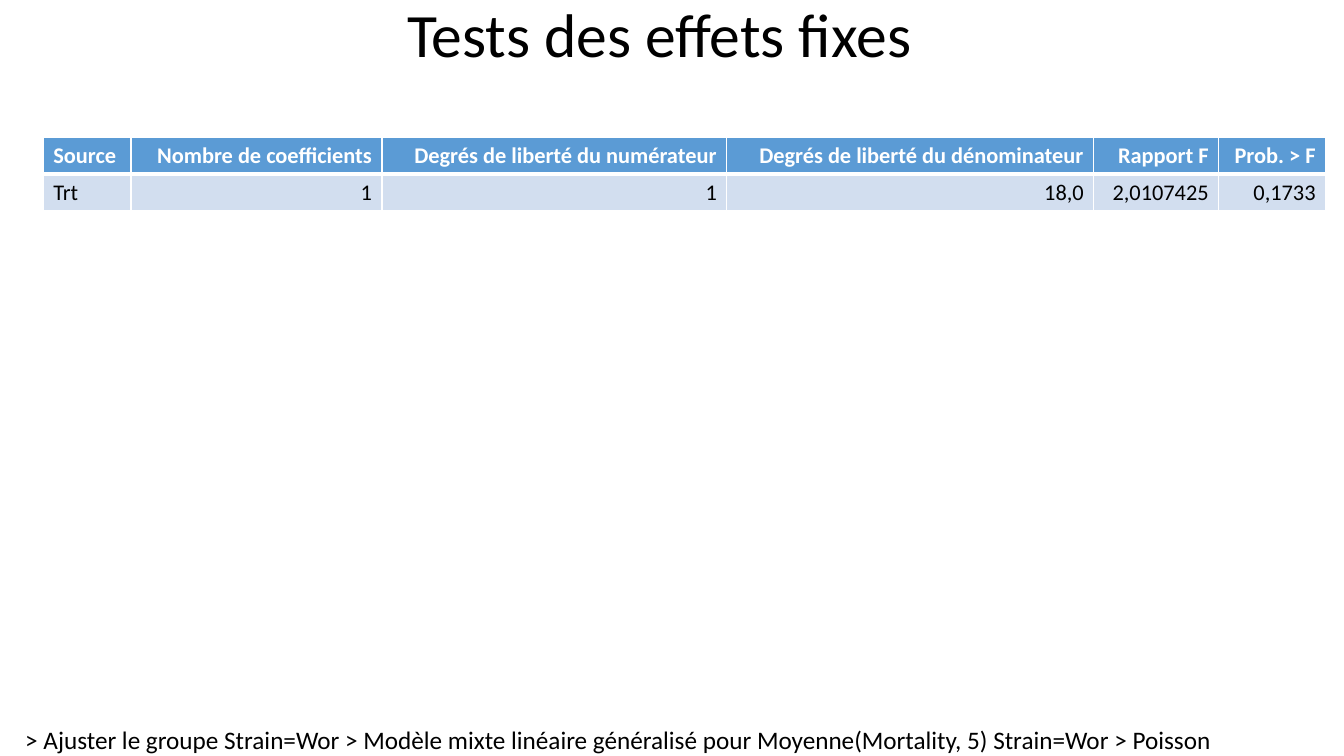
from dataclasses import dataclass

import lxml.etree
import pptx
import pptx.dml.color
import pptx.enum.text
import pptx.oxml.ns
import pptx.util

Inches = pptx.util.Inches
Align = pptx.enum.text.PP_ALIGN
Anchor = pptx.enum.text.MSO_ANCHOR

FONT = "Calibri"
COLORS = {"black": "000000", "white": "FFFFFF", "header": "5B9BD5", "band": "D2DEEF"}
ROW_HEIGHT = 0.365


@dataclass(frozen=True)
class Column:
    heading: str
    value: str
    width: float
    align: Align = Align.RIGHT


@dataclass(frozen=True)
class TextStyle:
    size: float
    color: str = "black"
    bold: bool = False
    align: Align = Align.LEFT
    line_spacing: float = 1.0


@dataclass(frozen=True)
class RowStyle:
    fill: str
    color: str
    bold: bool
    top: float
    bottom: float


COLUMNS = [
    Column("Source", "Trt", 0.87, Align.LEFT),
    Column("Nombre de coefficients", "1", 2.49),
    Column("Degrés de liberté du numérateur", "1", 3.42),
    Column("Degrés de liberté du dénominateur", "18,0", 3.64),
    Column("Rapport F", "2,0107425", 1.24),
    Column("Prob. > F", "0,1733", 1.06),
]
HEADER_ROW = RowStyle("header", "white", True, top=1, bottom=3)
VALUE_ROW = RowStyle("band", "black", False, top=3, bottom=1)


def rgb(name: str) -> pptx.dml.color.RGBColor:
    return pptx.dml.color.RGBColor.from_string(COLORS[name])


def write(frame, text: str, style: TextStyle) -> None:
    para = frame.paragraphs[0]
    para.text = text
    para.alignment = style.align
    para.line_spacing = style.line_spacing
    para.font.name = FONT
    para.font.size = pptx.util.Pt(style.size)
    para.font.bold = style.bold
    para.font.color.rgb = rgb(style.color)


def add_text(page, left: float, top: float, width: float, height: float,
             text: str, style: TextStyle):
    box = page.shapes.add_textbox(Inches(left), Inches(top), Inches(width), Inches(height))
    write(box.text_frame, text, style)
    return box.text_frame


def add_border(cell, side: str, points: float) -> None:
    qn = pptx.oxml.ns.qn
    line = lxml.etree.SubElement(cell._tc.get_or_add_tcPr(), qn(f"a:ln{side}"),
                                 w=str(int(pptx.util.Pt(points))))
    fill = lxml.etree.SubElement(line, qn("a:solidFill"))
    lxml.etree.SubElement(fill, qn("a:srgbClr"), val=COLORS["white"])


def fill_cell(cell, text: str, align: Align, row: RowStyle) -> None:
    # The schema wants borders before the fill.
    for side, points in (("L", 1), ("R", 1), ("T", row.top), ("B", row.bottom)):
        add_border(cell, side, points)
    cell.fill.solid()
    cell.fill.fore_color.rgb = rgb(row.fill)
    write(cell.text_frame, text, TextStyle(16, row.color, row.bold, align))


def add_effects_table(page) -> None:
    width = sum(column.width for column in COLUMNS)
    table = page.shapes.add_table(2, len(COLUMNS), Inches(0.43), Inches(1.36),
                                  Inches(width), Inches(2 * ROW_HEIGHT)).table
    for index, column in enumerate(COLUMNS):
        table.columns[index].width = Inches(column.width)
        fill_cell(table.cell(0, index), column.heading, column.align, HEADER_ROW)
        fill_cell(table.cell(1, index), column.value, column.align, VALUE_ROW)


def main() -> None:
    deck = pptx.Presentation()
    deck.slide_width, deck.slide_height = Inches(13.33), Inches(7.5)
    page = deck.slides.add_slide(deck.slide_layouts[6])

    analysis = add_text(
        page, 0.25, 7.19, 11.85, 0.31,
        "> Ajuster le groupe Strain=Wor > Modèle mixte linéaire généralisé pour "
        "Moyenne(Mortality, 5) Strain=Wor > Poisson", TextStyle(18))
    analysis.word_wrap = False
    analysis.margin_left = analysis.margin_right = 0
    analysis.margin_top = analysis.margin_bottom = 0

    title = add_text(page, 0, 0, 13.08, 0.75, "Tests des effets fixes",
                     TextStyle(44, align=Align.CENTER, line_spacing=0.9))
    title.word_wrap = True
    title.vertical_anchor = Anchor.MIDDLE

    add_effects_table(page)
    deck.save("out.pptx")


if __name__ == "__main__":
    main()
